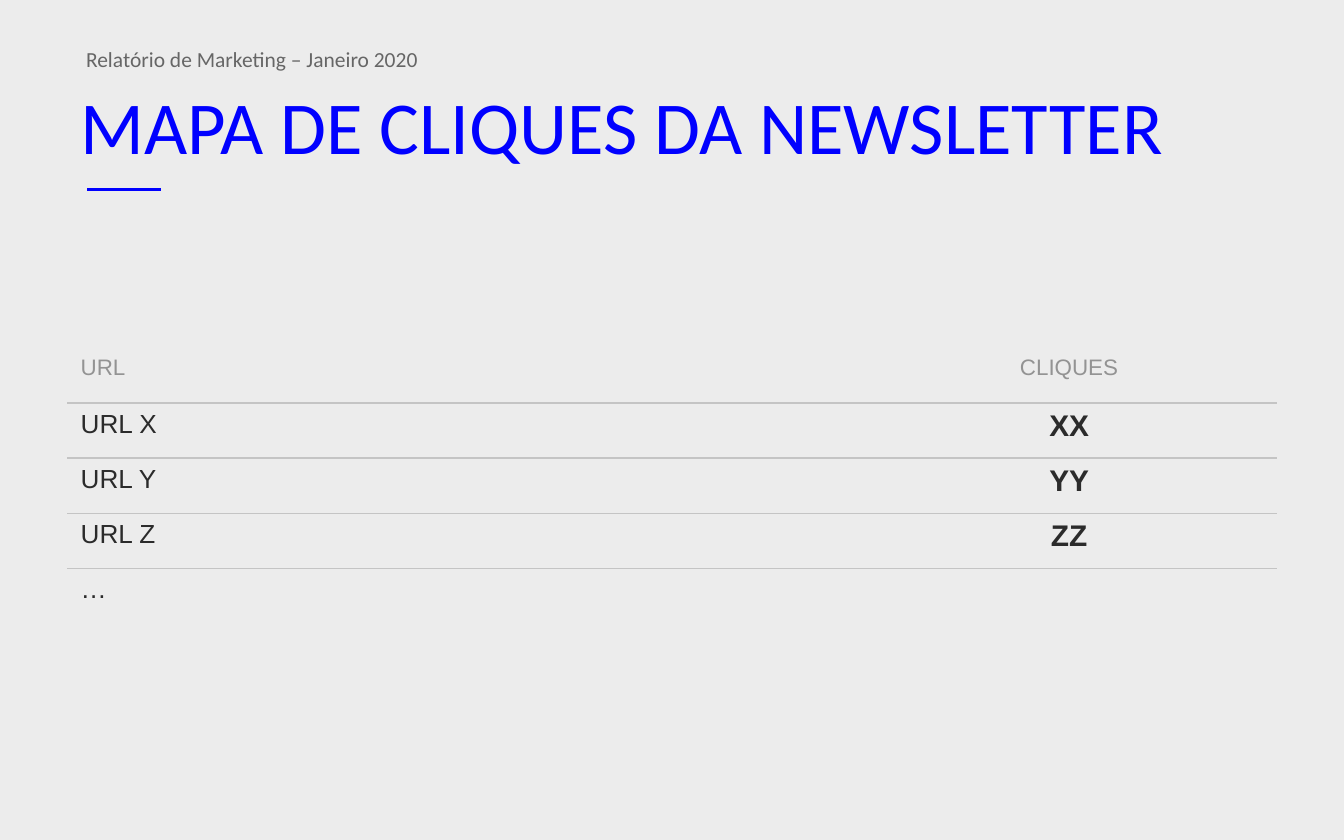
import dataclasses
import typing

import pptx
import pptx.dml.color
import pptx.enum.shapes
import pptx.enum.text
import pptx.oxml
import pptx.oxml.ns
import pptx.util

SCALE = 9144  # EMU in one px, 100 px to the inch
RGB = pptx.dml.color.RGBColor
BACK = RGB(0xEC, 0xEC, 0xEC)
BLUE = RGB(0x00, 0x00, 0xFF)
GREY = RGB(0x66, 0x66, 0x66)
PALE = RGB(0x93, 0x93, 0x93)
DARK = RGB(0x2B, 0x2B, 0x2B)
RULE = RGB(0xC4, 0xC4, 0xC4)
ALIGN = pptx.enum.text.PP_ALIGN
ANCHOR = pptx.enum.text.MSO_ANCHOR


@dataclasses.dataclass
class Style:
    size: float
    color: RGB
    name: str = "Arial"
    bold: bool = False
    align: ALIGN = ALIGN.LEFT


HEAD = Style(40, BLUE, "Calibri")
NOTE = Style(11.5, GREY, "Calibri")
LABEL = Style(12, PALE)
LABEL_MID = Style(12, PALE, align=ALIGN.CENTER)
LINK = Style(14, DARK)
COUNT = Style(16, DARK, bold=True, align=ALIGN.CENTER)

COLS = (591, 309)
ROW = 41
ROWS = (
    ("URL", "CLIQUES"),
    ("URL X", "XX"),
    ("URL Y", "YY"),
    ("URL Z", "ZZ"),
    ("…", ""),
)


def px(num: int) -> pptx.util.Emu:
    return pptx.util.Emu(num * SCALE)


def write(frame: typing.Any, text: str, style: Style) -> None:
    para = frame.paragraphs[0]
    para.alignment = style.align
    run = para.add_run()
    run.text = text
    form = {"size": pptx.util.Pt(style.size), "name": style.name, "bold": style.bold}
    for key, val in form.items():
        setattr(run.font, key, val)
    run.font.color.rgb = style.color


def place(shape: typing.Any, box: tuple, anchor: ANCHOR) -> None:
    for key, val in zip(("left", "top", "width", "height"), box):
        setattr(shape, key, px(val))
    form = {
        "margin_left": px(10), "margin_right": px(10),
        "margin_top": px(5), "margin_bottom": px(5),
        "word_wrap": True, "vertical_anchor": anchor,
        "auto_size": pptx.enum.text.MSO_AUTO_SIZE.NONE,
    }
    for key, val in form.items():
        setattr(shape.text_frame, key, val)


def edge(cell: typing.Any, above: bool, below: bool) -> None:
    sides = {"lnL": False, "lnR": False, "lnT": above, "lnB": below}
    for spot, (tag, shown) in enumerate(sides.items()):
        paint = f'<a:solidFill><a:srgbClr val="{RULE}"/></a:solidFill>' if shown else "<a:noFill/>"
        line = pptx.oxml.parse_xml(
            f'<a:{tag} {pptx.oxml.ns.nsdecls("a")} w="{pptx.util.Pt(1)}">{paint}</a:{tag}>'
        )
        cell._tc.get_or_add_tcPr().insert(spot, line)


def main() -> None:
    deck = pptx.Presentation()
    deck.slide_width, deck.slide_height = px(1000), px(625)
    slide = deck.slides.add_slide(deck.slide_layouts[1])
    slide.background.fill.solid()
    slide.background.fill.fore_color.rgb = BACK

    # Title and report line
    title, body = slide.shapes.title, slide.placeholders[1]
    place(title, (50, 58, 900, 70), ANCHOR.MIDDLE)
    write(title.text_frame, "MAPA DE CLIQUES DA NEWSLETTER", HEAD)
    place(body, (54, 33, 900, 27), ANCHOR.TOP)
    para = body.text_frame.paragraphs[0]
    props = para._p.get_or_add_pPr()
    props.set("marL", "0")
    props.set("indent", "0")
    props.append(pptx.oxml.parse_xml(f'<a:buNone {pptx.oxml.ns.nsdecls("a")}/>'))
    para.line_spacing = 0.8
    para.space_before = pptx.util.Pt(0)
    write(body.text_frame, "Relatório de Marketing – Janeiro 2020", NOTE)

    # Accent line
    kind = pptx.enum.shapes.MSO_CONNECTOR.STRAIGHT
    dash = slide.shapes.add_connector(kind, px(65), px(141), px(120), px(141))
    dash.line.color.rgb = BLUE
    dash.line.width = pptx.util.Pt(2)
    dash._element.spPr.append(
        pptx.oxml.parse_xml(f'<a:effectLst {pptx.oxml.ns.nsdecls("a")}/>')
    )

    # Click table
    last = len(ROWS) - 1
    table = slide.shapes.add_table(
        len(ROWS), len(COLS), px(50), px(259), px(sum(COLS)), px(ROW * len(ROWS))
    ).table
    table.first_row = table.horz_banding = False
    for col, width in zip(table.columns, COLS):
        col.width = px(width)
    for r, texts in enumerate(ROWS):
        styles = (LINK, COUNT) if r else (LABEL, LABEL_MID)
        for c, (text, style) in enumerate(zip(texts, styles)):
            cell = table.cell(r, c)
            cell.fill.background()
            edge(cell, r > 0, r < last)
            if text:
                write(cell.text_frame, text, style)

    deck.save("out.pptx")


if __name__ == "__main__":
    main()
